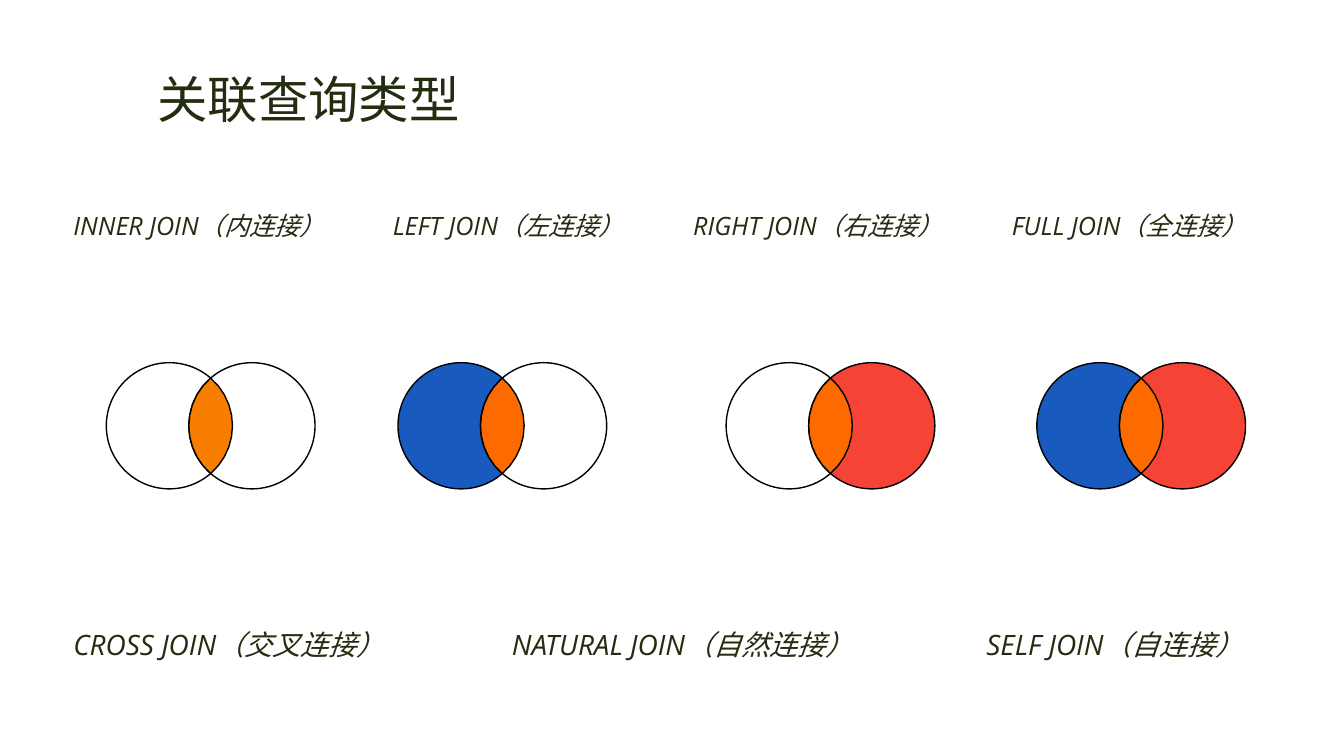
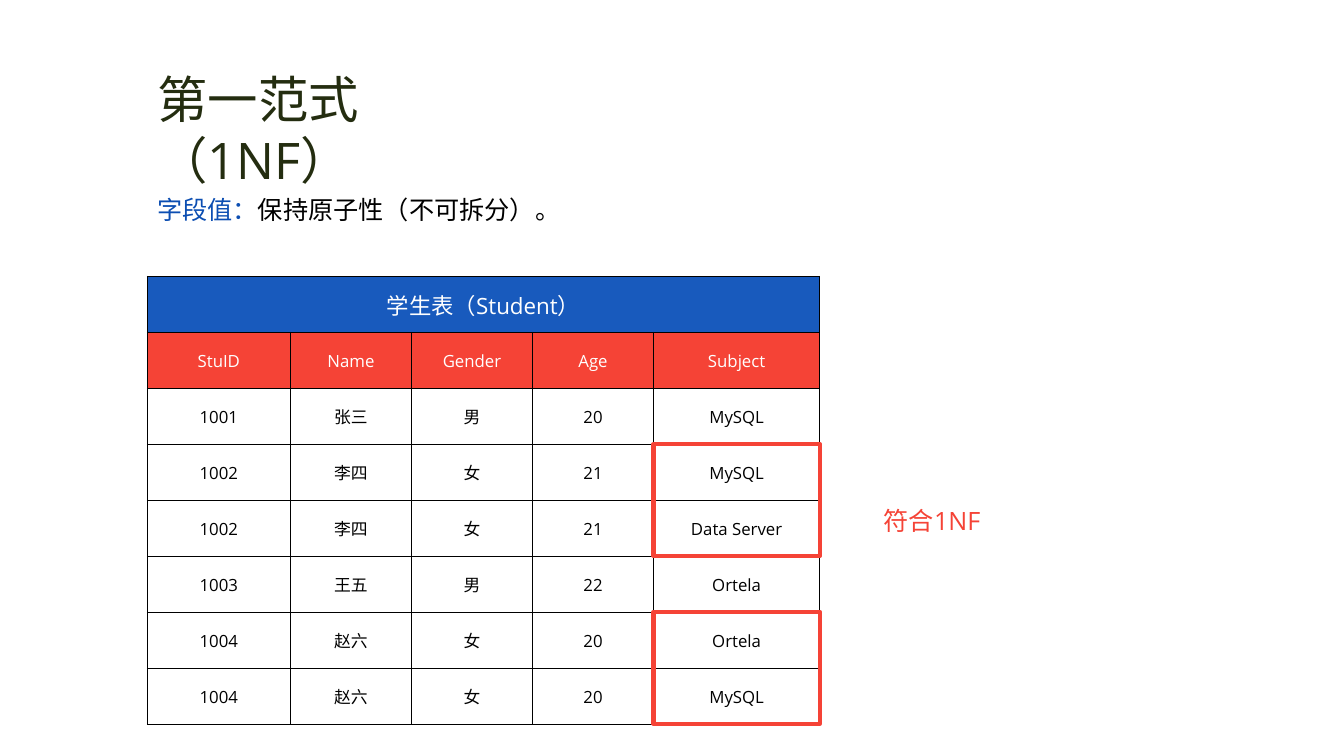
from math import acos, cos, pi, sin

from lxml import etree
from pptx import Presentation
from pptx.dml.color import RGBColor
from pptx.enum.shapes import MSO_SHAPE
from pptx.enum.text import MSO_ANCHOR, MSO_AUTO_SIZE, PP_ALIGN
from pptx.oxml.ns import qn
from pptx.util import Cm, Pt

RECT, OVAL = MSO_SHAPE.RECTANGLE, MSO_SHAPE.OVAL
TOP, MIDDLE = MSO_ANCHOR.TOP, MSO_ANCHOR.MIDDLE
LEFT, CENTER = PP_ALIGN.LEFT, PP_ALIGN.CENTER
FIXED = MSO_AUTO_SIZE.NONE

FONT = "Open Sans"
INK, BLACK, WHITE = "242D10", "000000", "FFFFFF"
BLUE, RED, ORANGE, AMBER = "185ABD", "F54336", "FD6B00", "F77E00"
ACCENT = "0C4EB2"
MARGIN = 3.71

# Circle radius and half the distance between the two centres, in cm
RADIUS, HALF = 1.59, 1.04
VENN_Y = 10.73

# Label left, label width, diagram middle, fills of left, lens and right
JOINS = [
    ("INNER JOIN（内连接）", 1.6, 7.42, 5.31, WHITE, AMBER, WHITE),
    ("LEFT JOIN（左连接）", 9.65, 6.96, 12.66, BLUE, ORANGE, WHITE),
    ("RIGHT JOIN（右连接）", 17.22, 7.42, 20.93, WHITE, ORANGE, RED),
    ("FULL JOIN（全连接）", 25.25, 7.01, 28.76, BLUE, ORANGE, RED),
]
OTHERS = [
    ("CROSS JOIN（交叉连接）", 1.6, 9.04),
    ("NATURAL JOIN（自然连接）", 12.65, 9.93),
    ("SELF JOIN（自连接）", 24.61, 7.67),
]

TABLE_TOP, ROW = 6.96, 1.41
COLS = [3.61, 3.05, 3.05, 3.05, 4.19]
ROWS = [
    ("学生表（Student）", "", "", "", ""),
    ("StuID", "Name", "Gender", "Age", "Subject"),
    ("1001", "张三", "男", "20", "MySQL"),
    ("1002", "李四", "女", "21", "MySQL"),
    ("1002", "李四", "女", "21", "Data Server"),
    ("1003", "王五", "男", "22", "Ortela"),
    ("1004", "赵六", "女", "20", "Ortela"),
    ("1004", "赵六", "女", "20", "MySQL"),
]


def color(code):
    return RGBColor.from_string(code)


def style(para, size, ink=INK, italic=False):
    font = para.font
    font.name, font.size, font.italic = FONT, Pt(size), italic
    font.color.rgb = color(ink)


def paint(item, code):
    item.fill.solid()
    item.fill.fore_color.rgb = color(code)


def outline(shape, ink, width):
    shape.shadow.inherit = False
    shape.line.color.rgb = color(ink)
    shape.line.width = Pt(width)


def new_slide(deck, text):
    """Add a slide with the shared title."""
    slide = deck.slides.add_slide(deck.slide_layouts[5])
    title = slide.shapes.title
    title.left, title.top = Cm(MARGIN), Cm(1.6)
    title.width, title.height = Cm(9.6), Cm(1.8)
    frame = title.text_frame
    frame.text = text
    frame.auto_size, frame.vertical_anchor = FIXED, TOP
    para = frame.paragraphs[0]
    para.alignment = LEFT
    style(para, 36)
    return slide


def label(slide, text, x, y, width, size=18, ink=INK, italic=False):
    box = slide.shapes.add_textbox(Cm(x), Cm(y), Cm(width), Cm(1.1))
    box.text_frame.word_wrap = True
    para = box.text_frame.paragraphs[0]
    para.text = text
    style(para, size, ink, italic)
    return para


# Join diagrams
def circle(slide, mid, fill):
    shape = slide.shapes.add_shape(
        OVAL, Cm(mid - RADIUS), Cm(VENN_Y - RADIUS),
        Cm(2 * RADIUS), Cm(2 * RADIUS))
    paint(shape, fill)
    outline(shape, BLACK, 1)


def arc(mid, start, end, steps=10):
    """Points on a circle; angles run clockwise from the right."""
    turns = (start + (end - start) * i / steps for i in range(steps))
    return [(Cm(mid + RADIUS * cos(t)), Cm(VENN_Y + RADIUS * sin(t)))
            for t in turns]


def venn(slide, mid, left, lens, right):
    a, b = mid - HALF, mid + HALF
    circle(slide, a, left)
    circle(slide, b, right)
    cut = acos(HALF / RADIUS)
    points = arc(a, -cut, cut) + arc(b, pi - cut, pi + cut)
    pen = slide.shapes.build_freeform(*points[0])
    pen.add_line_segments(points[1:], close=True)
    shape = pen.convert_to_shape()
    paint(shape, lens)
    outline(shape, BLACK, 1)


# Table
def border(cell):
    props = cell._tc.get_or_add_tcPr()
    for i, side in enumerate(("a:lnL", "a:lnR", "a:lnT", "a:lnB")):
        line = etree.Element(qn(side), w=str(Pt(0.5)))
        fill = etree.SubElement(line, qn("a:solidFill"))
        etree.SubElement(fill, qn("a:srgbClr"), val=BLACK)
        props.insert(i, line)


def fill_cell(cell, text, row):
    cell.margin_left = cell.margin_right = cell.margin_top = Cm(0.03)
    cell.margin_bottom = 0
    cell.vertical_anchor = MIDDLE
    if row < 2:
        paint(cell, (BLUE, RED)[row])
    else:
        cell.fill.background()
    border(cell)
    cell.text = text
    para = cell.text_frame.paragraphs[0]
    para.alignment = CENTER
    style(para, 12 if row else 16, WHITE if row < 2 else BLACK)


def grid(slide):
    table = slide.shapes.add_table(
        len(ROWS), len(COLS), Cm(MARGIN), Cm(TABLE_TOP),
        Cm(sum(COLS)), Cm(ROW * len(ROWS))).table
    table.first_row = table.horz_banding = False
    for col, width in zip(table.columns, COLS):
        col.width = Cm(width)
    for r, texts in enumerate(ROWS):
        table.rows[r].height = Cm(ROW)
        for c, text in enumerate(texts):
            fill_cell(table.cell(r, c), text, r)
    table.cell(0, 0).merge(table.cell(0, len(COLS) - 1))


def mark(slide, row):
    """Frame two rows of the last column."""
    frame = slide.shapes.add_shape(
        RECT, Cm(MARGIN + sum(COLS[:-1])), Cm(TABLE_TOP + row * ROW),
        Cm(COLS[-1]), Cm(2 * ROW))
    frame.fill.background()
    outline(frame, RED, 3)


# Slides
def join_slide(deck):
    slide = new_slide(deck, "关联查询类型")
    for text, x, width, mid, *fills in JOINS:
        label(slide, text, x, 5.18, width, italic=True)
        venn(slide, mid, *fills)
    for text, x, width in OTHERS:
        label(slide, text, x, 15.7, width, 20, italic=True)


def form_slide(deck):
    slide = new_slide(deck, "第一范式（1NF）")
    grid(slide)
    rule = label(slide, "字段值：", MARGIN, 4.39, 11.6, ink=BLACK)
    rule.runs[0].font.color.rgb = color(ACCENT)
    rule.add_run().text = "保持原子性（不可拆分）。"
    note = label(slide, "符合1NF", 22.02, 12.24, 6.27, ink=RED)
    rule.line_spacing = note.line_spacing = 1.5
    for row in (3, 6):
        mark(slide, row)


def main():
    deck = Presentation()
    deck.slide_width, deck.slide_height = Cm(33.87), Cm(19.05)
    join_slide(deck)
    form_slide(deck)
    deck.save("out.pptx")


if __name__ == "__main__":
    main()
